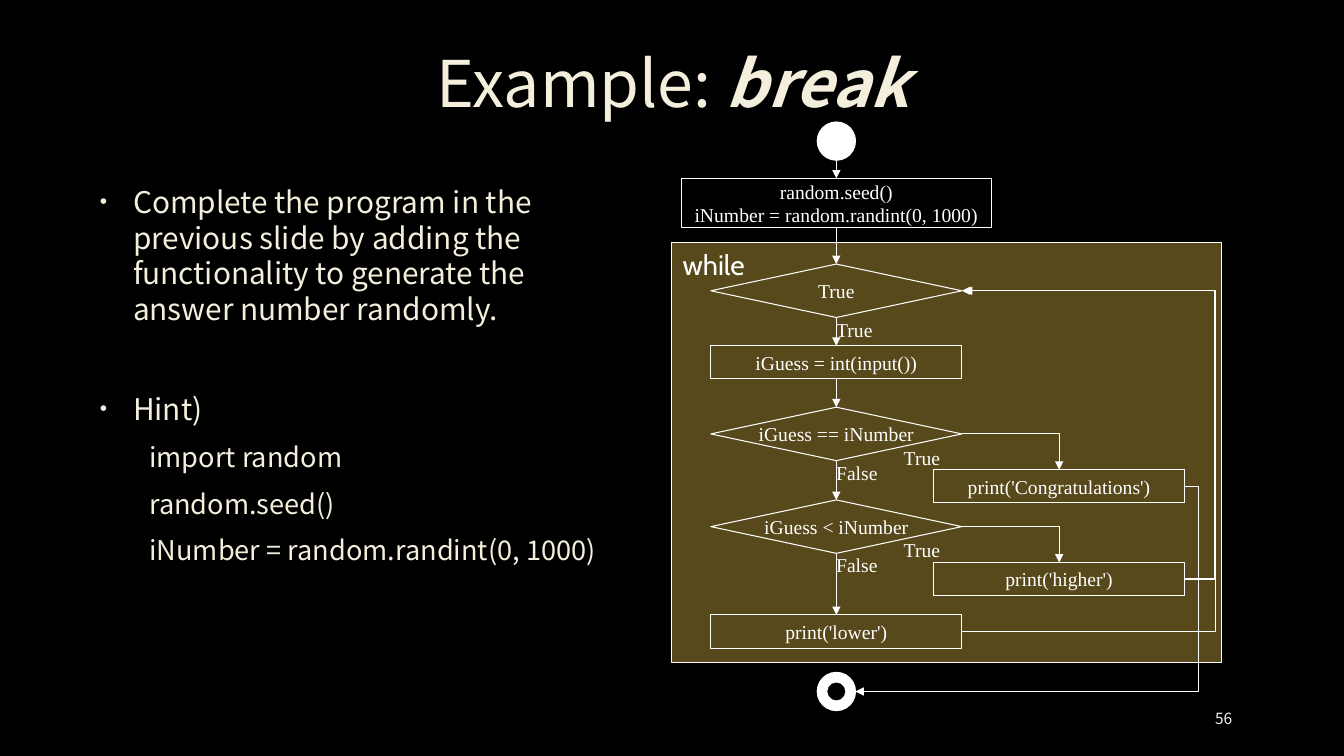
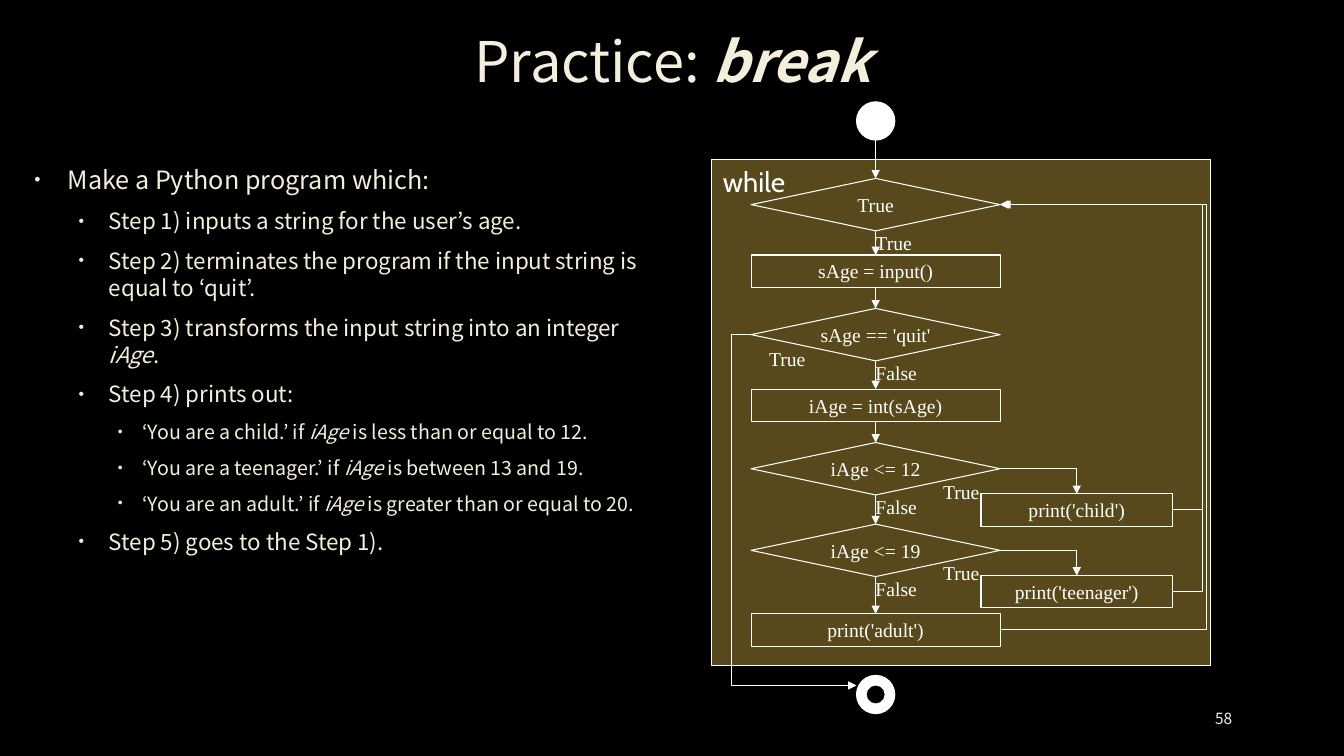
from lxml import etree
from pptx import Presentation
from pptx.dml.color import RGBColor
from pptx.enum.shapes import MSO_CONNECTOR, MSO_SHAPE
from pptx.enum.text import MSO_ANCHOR, MSO_AUTO_SIZE, PP_ALIGN
from pptx.oxml.ns import qn
from pptx.util import Pt

RECT, DIAMOND = MSO_SHAPE.RECTANGLE, MSO_SHAPE.DIAMOND
OVAL, DONUT = MSO_SHAPE.OVAL, MSO_SHAPE.DONUT
STRAIGHT, ELBOW = MSO_CONNECTOR.STRAIGHT, MSO_CONNECTOR.ELBOW
TOP, MIDDLE = MSO_ANCHOR.TOP, MSO_ANCHOR.MIDDLE
LEFT, CENTER, RIGHT = PP_ALIGN.LEFT, PP_ALIGN.CENTER, PP_ALIGN.RIGHT

SCALE = 9144  # EMU per px, 100 px to the inch
COLORS = {"back": "000000", "text": "F4EEDC", "number": "F2F2F2",
          "loop": "58491C", "line": "FFFFFF"}
BODY_FONT, LOOP_FONT, CODE_FONT = "Noto Sans CJK KR", "Cabin", "Times New Roman"
DOT = 38  # diameter of the start and end marks


def px(n):
    return round(n * SCALE)


def rgb(name):
    return RGBColor.from_string(COLORS[name])


def style(r, size, font, color):
    r.font.size, r.font.name = Pt(size), font
    r.font.color.rgb = rgb(color)


def sub(parent, tag, **attrs):
    return etree.SubElement(parent, qn(tag), **attrs)


def move(sp, x, y, w, h):
    sp.left, sp.top, sp.width, sp.height = px(x), px(y), px(w), px(h)


def write(sp, text, size, font, color, align=CENTER, anchor=MIDDLE):
    tf = sp.text_frame
    tf.text = text
    tf.vertical_anchor = anchor
    for p in tf.paragraphs:
        p.alignment = align
        for r in p.runs:
            style(r, size, font, color)
    return tf


# Text regions
def add_title(s, lead, keyword, box, size):
    sp = s.shapes.title
    move(sp, *box)
    tf = write(sp, lead, size, BODY_FONT, "text")
    tf.auto_size = MSO_AUTO_SIZE.NONE
    p = tf.paragraphs[0]
    p.line_spacing = 0.9
    r = p.add_run()
    r.text = keyword
    style(r, size, BODY_FONT, "text")
    r.font.bold = r.font.italic = True


def add_body(s, items, levels, box):
    """Items are (level, text); *stars* mark italics.
    Levels are (size, margin, indent, bulleted)."""
    sp = s.placeholders[1]
    move(sp, *box)
    tf = sp.text_frame
    tf.auto_size = MSO_AUTO_SIZE.NONE
    tf.vertical_anchor = TOP
    for i, (level, text) in enumerate(items):
        size, margin, indent, bulleted = levels[level]
        p = tf.add_paragraph() if i else tf.paragraphs[0]
        p.level, p.line_spacing, p.space_after = level, 1.0, Pt(6)
        if i and level == 0:
            p.space_before = Pt(40)
        pPr = p._p.get_or_add_pPr()
        pPr.set("marL", str(px(margin)))
        pPr.set("indent", str(px(indent)))
        if bulleted:
            sub(sub(pPr, "a:buClr"), "a:srgbClr", val=COLORS["text"])
            sub(pPr, "a:buSzPct", val="70000")
            sub(pPr, "a:buChar", char="•")
        else:
            sub(pPr, "a:buNone")
        for j, part in enumerate(text.split("*")):
            r = p.add_run()
            r.text = part
            style(r, size, BODY_FONT, "text")
            r.font.italic = j % 2 == 1


def add_number(s, number):
    sp = s.shapes.add_textbox(px(1150), px(693), px(82), px(40))
    write(sp, str(number), 11, BODY_FONT, "number", RIGHT).word_wrap = True


# Flowchart parts
def add_node(s, kind, x, y, w, h, text="", fill=None):
    sp = s.shapes.add_shape(kind, px(x), px(y), px(w), px(h))
    sp.shadow.inherit = False
    if fill:
        sp.fill.solid()
        sp.fill.fore_color.rgb = rgb(fill)
    else:
        sp.fill.background()
    sp.line.color.rgb, sp.line.width = rgb("line"), Pt(0.75)
    if text:
        tf = write(sp, text, 14, CODE_FONT, "line")
        tf.word_wrap = False
        tf.margin_left = tf.margin_right = tf.margin_top = tf.margin_bottom = 0
    return sp


def add_label(s, x, y, text):
    sp = s.shapes.add_textbox(px(x), px(y), px(96), px(34))
    write(sp, text, 14, CODE_FONT, "line", LEFT, TOP).word_wrap = True


def add_arrow(s, x1, y1, x2, y2, rail=None, corner=False):
    """Straight, one corner (across, then down) or by way of x = rail."""
    kind = ELBOW if corner or rail is not None else STRAIGHT
    c = s.shapes.add_connector(kind, px(x1), px(y1), px(x2), px(y2))
    c.line.color.rgb, c.line.width = rgb("line"), Pt(0.75)
    spPr = c._element.spPr
    sub(spPr.find(qn("a:ln")), "a:tailEnd", type="triangle")
    sub(spPr, "a:effectLst")
    geom = spPr.find(qn("a:prstGeom"))
    if corner:
        geom.set("prst", "bentConnector2")
    elif rail is not None:
        adj = round((rail - x1) / (x2 - x1) * 100000)
        sub(geom.find(qn("a:avLst")), "a:gd", name="adj1", fmla=f"val {adj}")


def add_flowchart(s, box, chart):
    """Draws the loop; every offset in chart is relative to the box."""
    left, top, width, height = box
    col, col_w = left + chart["col"], chart["col_w"]
    axis, right = col + col_w / 2, col + col_w
    heights = {DIAMOND: chart["diamond_h"], RECT: chart["rect_h"]}
    loop_y = top + chart["steps"][0][1] + heights[DIAMOND] / 2
    start_y, end_y = top + chart["start"], top + chart["end"]

    # Loop frame, start and end
    frame = add_node(s, RECT, *box, fill="loop")
    write(frame, "while", 20, LOOP_FONT, "line", LEFT, TOP).margin_left = px(11)
    add_node(s, OVAL, axis - DOT / 2, start_y, DOT, DOT, fill="line")
    add_node(s, DONUT, axis - DOT / 2, end_y, DOT, DOT, fill="line")

    # Step before the loop
    above = start_y + DOT
    if "setup" in chart:
        dy, w, h, text = chart["setup"]
        add_node(s, RECT, axis - w / 2, top + dy, w, h, text)
        add_arrow(s, axis, above, axis, top + dy)
        above = top + dy + h

    # Main column, with the branches to its right
    for kind, dy, text, below, branch in chart["steps"]:
        y, h = top + dy, heights[kind]
        add_arrow(s, axis, above, axis, y)
        add_node(s, kind, col, y, col_w, h, text)
        above = y + h
        if below:
            add_label(s, axis - 10, above - 5, below)
        if branch:
            branch_text, rail, target = branch
            bx, bw = left + chart["branch"], chart["branch_w"]
            by = y + chart["branch_drop"]
            add_label(s, axis + 57, above - 20, "True")
            add_node(s, RECT, bx, by, bw, heights[RECT], branch_text)
            add_arrow(s, right, y + h / 2, bx + bw / 2, by, corner=True)
            goal = {"loop": (right, loop_y),
                    "end": (axis + DOT / 2, end_y + DOT / 2)}[target]
            add_arrow(s, bx + bw, by + heights[RECT] / 2, *goal,
                      rail=left + rail)

    # Last step back to the condition
    add_arrow(s, right, above - heights[RECT] / 2, right + 2, loop_y,
              rail=left + chart["rail"])

    # Way out on the left
    if "quit" in chart:
        dy, rail = chart["quit"]
        y = top + dy + heights[DIAMOND]
        add_label(s, col + 8, y - 19, "True")
        add_arrow(s, col, y - heights[DIAMOND] / 2, axis - DOT / 2, end_y + 10,
                  rail=left + rail)


EXAMPLE = {
    "title": ("Example: ", "break", (101, 17, 1132, 138), 46),
    "body": (
        [(0, "Complete the program in the previous slide by adding the "
             "functionality to generate the answer number randomly."),
         (0, "Hint)"),
         (1, "import random"),
         (1, "random.seed()"),
         (1, "iNumber = random.randint(0, 1000)")],
        [(21.3, 38, -33, True), (19.4, 54, 0, False)],
        (84, 177, 531, 396)),
    "number": 56,
    "flow": ((666, 241, 546, 416), {
        "col": 39, "col_w": 249, "diamond_h": 53, "rect_h": 33,
        "start": -120, "end": 426, "rail": 539,
        "branch": 260, "branch_w": 249, "branch_drop": 62,
        "setup": (-64, 307, 49,
                  "random.seed()\niNumber = random.randint(0, 1000)"),
        "steps": [
            (DIAMOND, 21, "True", "True", None),
            (RECT, 102, "iGuess = int(input())", None, None),
            (DIAMOND, 163, "iGuess == iNumber", "False",
             ("print('Congratulations')", 523, "end")),
            (DIAMOND, 255, "iGuess < iNumber", "False",
             ("print('higher')", 539, "loop")),
            (RECT, 369, "print('lower')", None, None)]}),
}

PRACTICE = {
    "title": ("Practice: ", "break", (101, 18, 1132, 91), 40),
    "body": (
        [(0, "Make a Python program which:"),
         (1, "Step 1) inputs a string for the user’s age."),
         (1, "Step 2) terminates the program if the input string is "
             "equal to ‘quit’."),
         (1, "Step 3) transforms the input string into an integer *iAge*."),
         (1, "Step 4) prints out:"),
         (2, "‘You are a child.’ if *iAge* is less than or equal to 12."),
         (2, "‘You are a teenager.’ if *iAge* is between 13 and 19."),
         (2, "‘You are an adult.’ if *iAge* is greater than or equal to 20."),
         (1, "Step 5) goes to the Step 1).")],
        [(18, 38, -33, True), (16, 79, -30, True), (14, 112, -24, True)],
        (19, 158, 650, 479)),
    "number": 58,
    "flow": ((706, 158, 495, 502), {
        "col": 39, "col_w": 247, "diamond_h": 52, "rect_h": 32,
        "start": -57, "end": 512, "rail": 490,
        "branch": 267, "branch_w": 190, "branch_drop": 51,
        "quit": (148, 20),
        "steps": [
            (DIAMOND, 19, "True", "True", None),
            (RECT, 95, "sAge = input()", None, None),
            (DIAMOND, 148, "sAge == 'quit'", "False", None),
            (RECT, 228, "iAge = int(sAge)", None, None),
            (DIAMOND, 281, "iAge <= 12", "False",
             ("print('child')", 487, "loop")),
            (DIAMOND, 362, "iAge <= 19", "False",
             ("print('teenager')", 487, "loop")),
            (RECT, 451, "print('adult')", None, None)]}),
}


def add_slide(prs, content):
    s = prs.slides.add_slide(prs.slide_layouts[1])
    add_title(s, *content["title"])
    add_body(s, *content["body"])
    add_number(s, content["number"])
    add_flowchart(s, *content["flow"])


def main():
    prs = Presentation()
    prs.slide_width, prs.slide_height = px(1333), px(750)
    fill = prs.slide_master.background.fill
    fill.solid()
    fill.fore_color.rgb = rgb("back")
    for content in (EXAMPLE, PRACTICE):
        add_slide(prs, content)
    prs.save("out.pptx")


if __name__ == "__main__":
    main()
